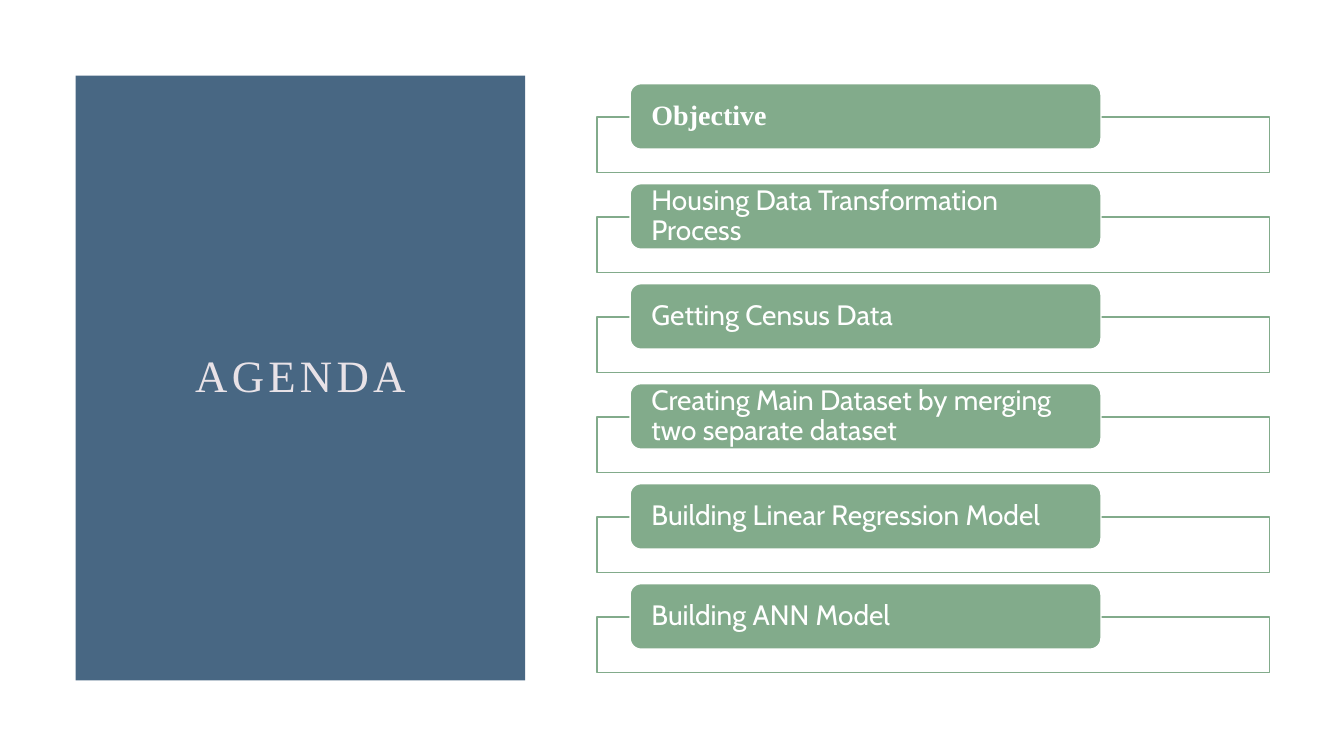
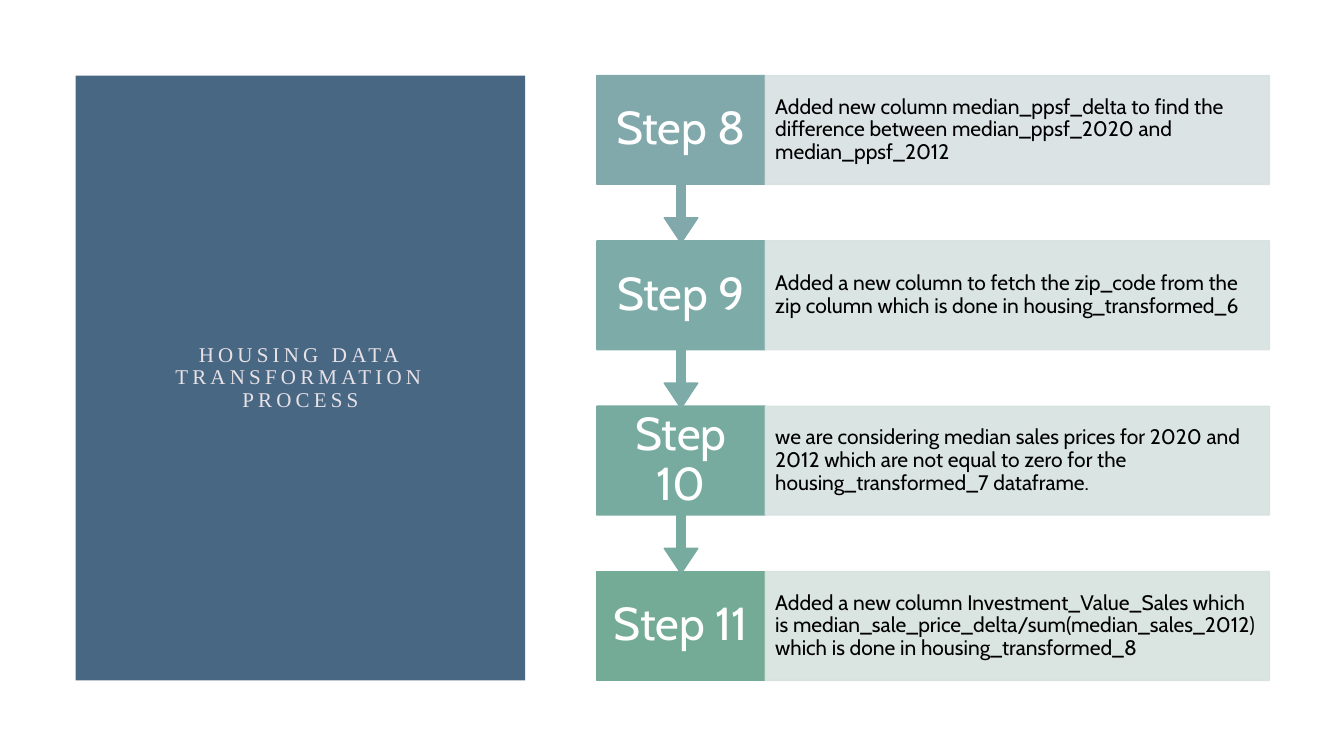
"""Builds the agenda slide and the housing data transformation slide."""
from lxml import etree
from pptx import Presentation
from pptx.dml.color import RGBColor
from pptx.enum.shapes import MSO_SHAPE
from pptx.enum.text import MSO_ANCHOR, MSO_AUTO_SIZE, PP_ALIGN
from pptx.oxml.ns import qn
from pptx.util import Inches, Pt

RECT = MSO_SHAPE.RECTANGLE
ROUNDED = MSO_SHAPE.ROUNDED_RECTANGLE
CALLOUT = MSO_SHAPE.DOWN_ARROW_CALLOUT
LEFT, CENTER = PP_ALIGN.LEFT, PP_ALIGN.CENTER
MIDDLE = MSO_ANCHOR.MIDDLE
NO_FIT = MSO_AUTO_SIZE.NONE

SERIF, SANS = "Times New Roman", "Cabin"
COLORS = {"panel": "486783", "title": "E8E2E7", "agenda": "82AB8B",
          "white": "FFFFFF", "black": "000000"}

AGENDA = [
    ("Objective", {"font": SERIF, "bold": True}),
    ("Housing Data Transformation Process", {}),
    ("Getting Census Data", {}),
    ("Creating Main Dataset by merging two separate dataset", {}),
    ("Building Linear Regression Model", {}),
    ("Building ANN Model", {}),
]
STEPS = [
    ("Step 8", "81A8AB", "D8E1E2",
     "Added new column median_ppsf_delta to find the difference between "
     "median_ppsf_2020 and median_ppsf_2012"),
    ("Step 9", "7DABA8", "D7E2E1",
     "Added a new column to fetch the zip_code from the zip column "
     "which is done in housing_transformed_6"),
    ("Step 10", "78ABA0", "D6E2DF",
     "we are considering median sales prices for 2020 and 2012 "
     "which are not equal to zero for the housing_transformed_7 dataframe."),
    ("Step 11", "74AB97", "D6E2DD",
     "Added a new column Investment_Value_Sales which "
     "is median_sale_price_delta/sum(median_sales_2012) "
     "which is done in housing_transformed_8"),
]

CONTENT_LEFT = 5.92
AGENDA_TOP, AGENDA_PITCH = 0.83, 0.992
FRAME_DROP = 0.33
STEP_TOP, STEP_PITCH = 0.75, 1.64
STEP_WIDTH, STEP_HEIGHT, CALLOUT_HEIGHT = 1.67, 1.08, 1.66
CALLOUT_ADJUSTMENTS = (0.05, 0.1, 0.15, 0.65)


def write(shape, text, *, size, color, font=SANS, bold=False, align=LEFT,
          insets=(0.1, 0.05), spacing=0):
    """Puts one formatted paragraph in a shape."""
    frame = shape.text_frame
    frame.word_wrap = True
    frame.auto_size = NO_FIT
    frame.vertical_anchor = MIDDLE
    frame.margin_left = frame.margin_right = Inches(insets[0])
    frame.margin_top = frame.margin_bottom = Inches(insets[1])
    paragraph = frame.paragraphs[0]
    paragraph.alignment = align
    paragraph.line_spacing = 0.9
    run = paragraph.add_run()
    run.text = text
    run.font.name = font
    run.font.size = Pt(size)
    run.font.bold = bold
    run.font.color.rgb = RGBColor.from_string(color)
    if spacing:
        run._r.get_or_add_rPr().set("spc", str(spacing * 100))


def add_box(slide, kind, left, top, width, height, fill, line=None, opacity=100):
    """Adds a flat preset shape."""
    box = slide.shapes.add_shape(
        kind, Inches(left), Inches(top), Inches(width), Inches(height))
    box.shadow.inherit = False
    box.fill.solid()
    box.fill.fore_color.rgb = RGBColor.from_string(fill)
    if line:
        box.line.color.rgb = RGBColor.from_string(line)
        box.line.width = Pt(1)
    else:
        box.line.fill.background()
    if opacity < 100:
        for color in box._element.spPr.iter(qn("a:srgbClr")):
            etree.SubElement(color, qn("a:alpha")).set("val", str(opacity * 1000))
    return box


def add_titled_slide(deck, heading, size):
    """Adds a slide with the heading on the blue side panel."""
    slide = deck.slides.add_slide(deck.slide_layouts[5])
    panel = add_box(slide, RECT, 0.75, 0.75, 4.46, 6, COLORS["panel"])
    title = slide.shapes.title
    title._element.addprevious(panel._element)
    title.left, title.top = Inches(1.5), Inches(1.5)
    title.width, title.height = Inches(2.96), Inches(4.5)
    write(title, heading, size=size, color=COLORS["title"], font=SERIF,
          align=CENTER, spacing=3)
    return slide


def build_agenda(deck):
    """Builds the list of topics."""
    slide = add_titled_slide(deck, "AGENDA", 32)
    for row, (topic, style) in enumerate(AGENDA):
        top = AGENDA_TOP + row * AGENDA_PITCH
        add_box(slide, RECT, CONTENT_LEFT, top + FRAME_DROP, 6.67, 0.55,
                COLORS["white"], COLORS["agenda"])
        label = add_box(slide, ROUNDED, 6.25, top, 4.67, 0.65,
                        COLORS["agenda"], COLORS["white"])
        write(label, topic, size=20, color=COLORS["white"], insets=(0.18, 0), **style)


def build_steps(deck):
    """Builds the chain of steps, last one at the back."""
    slide = add_titled_slide(deck, "HOUSING DATA TRANSFORMATION PROCESS", 15)
    last = len(STEPS) - 1
    for row, (name, fill, tint, detail) in reversed(list(enumerate(STEPS))):
        top = STEP_TOP + row * STEP_PITCH
        kind, height = (RECT, STEP_HEIGHT) if row == last else (CALLOUT, CALLOUT_HEIGHT)
        step = add_box(slide, kind, CONTENT_LEFT, top, STEP_WIDTH, height, fill, fill)
        if kind == CALLOUT:
            for index, value in enumerate(CALLOUT_ADJUSTMENTS):
                step.adjustments[index] = value
        write(step, name, size=33, color=COLORS["white"], align=CENTER,
              insets=(0.12, 0))
        description = add_box(slide, RECT, CONTENT_LEFT + STEP_WIDTH, top, 5,
                              STEP_HEIGHT, tint, tint, opacity=90)
        write(description, detail, size=15, color=COLORS["black"], insets=(0.1, 0.21))


def main():
    """Builds and saves the deck."""
    deck = Presentation()
    deck.slide_width, deck.slide_height = Inches(13.33), Inches(7.5)
    build_agenda(deck)
    build_steps(deck)
    deck.save("out.pptx")


if __name__ == "__main__":
    main()
